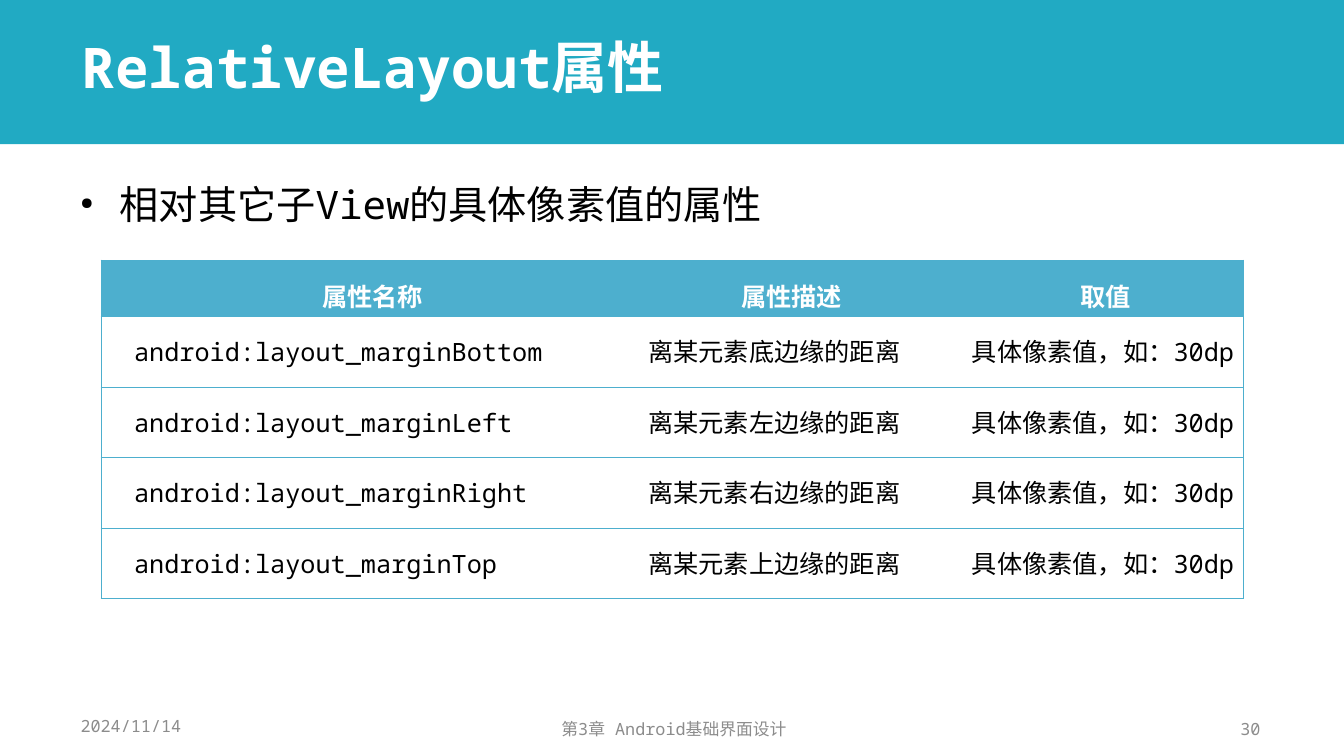
from typing import NamedTuple

from lxml.etree import SubElement
from pptx import Presentation
from pptx.dml.color import RGBColor
from pptx.enum.shapes import MSO_SHAPE as Shape
from pptx.enum.text import MSO_ANCHOR as Anchor, PP_ALIGN as Align
from pptx.oxml.ns import qn
from pptx.util import Inches, Pt

FONT = "Noto Sans Mono"
TEAL = RGBColor(0x21, 0xAA, 0xC3)
BLUE = RGBColor(0x4D, 0xAF, 0xCE)
GRAY = RGBColor(0x8C, 0x8C, 0x8C)
BLACK = RGBColor(0, 0, 0)
WHITE = RGBColor(255, 255, 255)
PLAIN = "{2D5ABB26-0587-4C30-8999-92F81FD0307C}"


class Label(NamedTuple):
    text: str
    left: float
    top: float
    width: float
    align: Align


class Attr(NamedTuple):
    name: str
    about: str
    value: str


LABELS = [
    Label("2024/11/14", 0.7, 7.09, 1.52, Align.LEFT),
    Label("第3章 Android基础界面设计", 4.42, 7.12, 4.53, Align.CENTER),
    Label("30", 11.75, 7.12, 0.85, Align.RIGHT),
]
HEAD = Attr("属性名称", "属性描述", "取值")
SIDES = {"Bottom": "底", "Left": "左", "Right": "右", "Top": "上"}
ATTRS = [
    Attr(f"android:layout_margin{side}", f"离某元素{word}边缘的距离", "具体像素值，如：30dp")
    for side, word in SIDES.items()
]
WIDTHS = [5.1, 3.21, 3.02]
HEIGHTS = [0.56] + [0.7] * len(ATTRS)


def style(par, size: float, color: RGBColor, bold: bool = False) -> None:
    for run in par.runs:
        font = run.font
        font.size, font.bold, font.name = Pt(size), bold, FONT
        font.color.rgb = color
        SubElement(run._r.get_or_add_rPr(), qn("a:ea"), typeface=FONT)


def indent(par, left: float, first: float) -> None:
    props = par._p.get_or_add_pPr()
    props.set("marL", str(Inches(left)))
    props.set("indent", str(Inches(first)))


def edge(cell, sides: str) -> None:
    """Draw thin blue borders on the given sides, in the order L, R, T, B."""
    props = cell._tc.get_or_add_tcPr()
    for spot, side in enumerate(sides):
        line = SubElement(props, qn(f"a:ln{side}"), w=str(Pt(0.5)))
        fill = SubElement(line, qn("a:solidFill"))
        SubElement(fill, qn("a:srgbClr"), val=str(BLUE))
        props.insert(spot, line)


def add_title(slide) -> None:
    title = slide.shapes.title
    title.left, title.top = Inches(0.71), Inches(0.13)
    title.width, title.height = Inches(11.87), Inches(0.92)
    frame = title.text_frame
    frame.text = "RelativeLayout属性"
    frame.vertical_anchor = Anchor.BOTTOM
    par = frame.paragraphs[0]
    par.alignment, par.line_spacing = Align.LEFT, 0.9
    style(par, 40, WHITE, True)

    band = slide.shapes.add_shape(
        Shape.RECTANGLE, Inches(-0.02), Inches(-0.06), Inches(13.35), Inches(1.49))
    band.shadow.inherit = False
    band.fill.solid()
    band.fill.fore_color.rgb = TEAL
    band.line.fill.background()
    title.element.addprevious(band.element)


def add_point(slide) -> None:
    box = slide.shapes.add_textbox(Inches(0.7), Inches(1.58), Inches(11.9), Inches(0.75))
    frame = box.text_frame
    frame.word_wrap = True
    frame.text = "相对其它子View的具体像素值的属性"
    par = frame.paragraphs[0]
    indent(par, 0.39, -0.39)
    props = par._p.get_or_add_pPr()
    SubElement(props, qn("a:buSzPct"), val="42000")
    SubElement(props, qn("a:buChar"), char="●")
    par.line_spacing = 1.35
    style(par, 28, BLACK)


def add_grid(slide) -> None:
    rows = [HEAD, *ATTRS]
    table = slide.shapes.add_table(
        len(rows), len(WIDTHS), Inches(1), Inches(2.58),
        Inches(sum(WIDTHS)), Inches(sum(HEIGHTS))).table
    table.first_row = table.horz_banding = False
    table._tbl.tblPr.find(qn("a:tableStyleId")).text = PLAIN
    for col, width in zip(table.columns, WIDTHS):
        col.width = Inches(width)
    for r, attr in enumerate(rows):
        head = r == 0
        table.rows[r].height = Inches(HEIGHTS[r])
        for c, text in enumerate(attr):
            cell = table.cell(r, c)
            cell.text = text
            cell.vertical_anchor = Anchor.MIDDLE
            cell.margin_left = cell.margin_right = Inches(0.04)
            cell.margin_top = cell.margin_bottom = 0
            cell.fill.solid()
            cell.fill.fore_color.rgb = BLUE if head else WHITE
            edge(cell, {0: "L", len(WIDTHS) - 1: "R"}.get(c, "") + "TB")
            par = cell.text_frame.paragraphs[0]
            indent(par, 0, 0.29)
            par.alignment = Align.CENTER if head else Align.LEFT
            par.line_spacing = 1.5 if head else 1.0
            style(par, 18, WHITE if head else BLACK, head)


def add_label(slide, label: Label) -> None:
    box = slide.shapes.add_textbox(
        Inches(label.left), Inches(label.top), Inches(label.width), Inches(0.23))
    frame = box.text_frame
    frame.word_wrap = True
    frame.vertical_anchor = Anchor.MIDDLE
    frame.text = label.text
    par = frame.paragraphs[0]
    par.alignment = label.align
    style(par, 12, GRAY)


def main() -> None:
    deck = Presentation()
    deck.slide_width, deck.slide_height = Inches(13.33), Inches(7.5)
    slide = deck.slides.add_slide(deck.slide_layouts[5])
    add_title(slide)
    add_point(slide)
    add_grid(slide)
    for label in LABELS:
        add_label(slide, label)
    deck.save("out.pptx")


if __name__ == "__main__":
    main()
